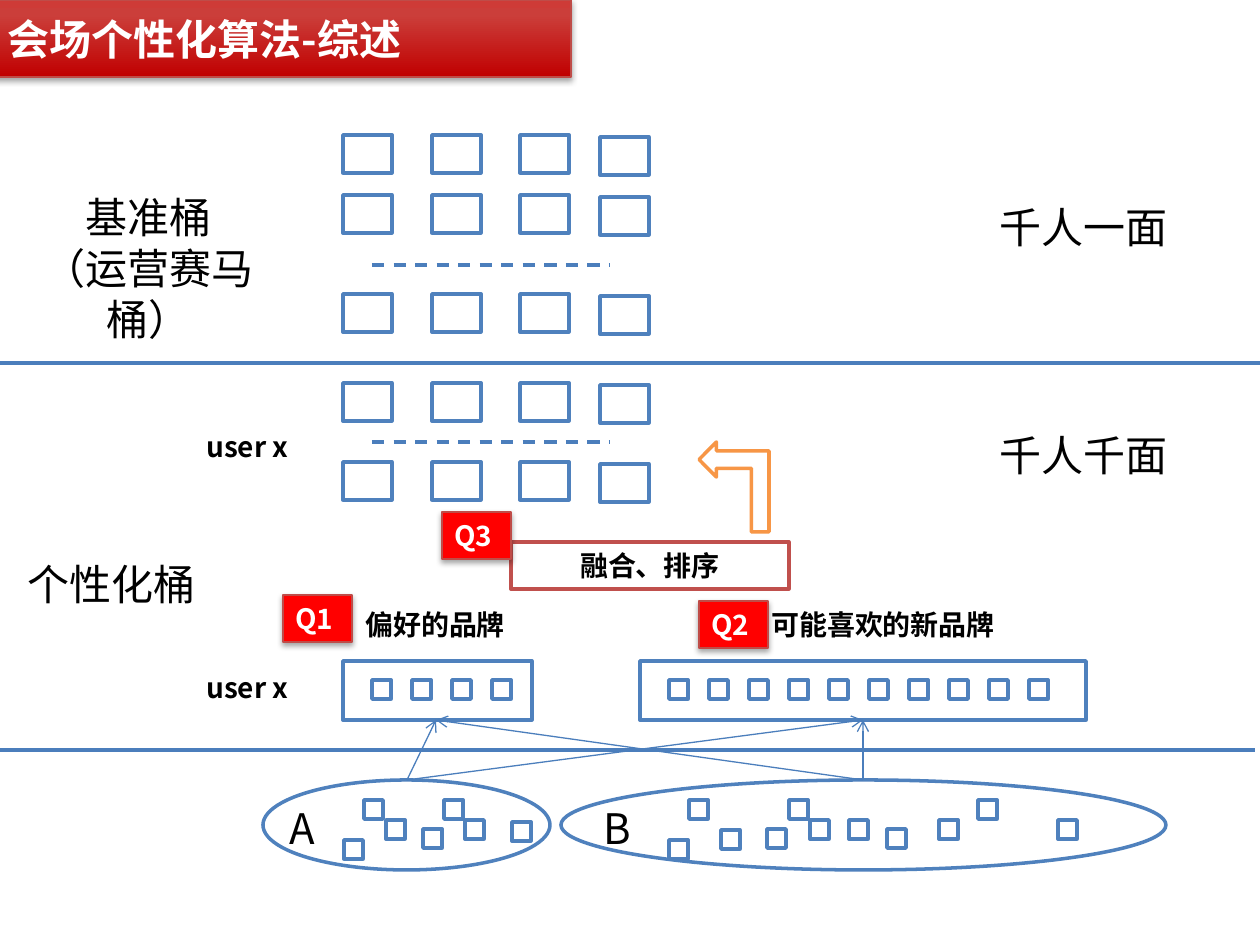
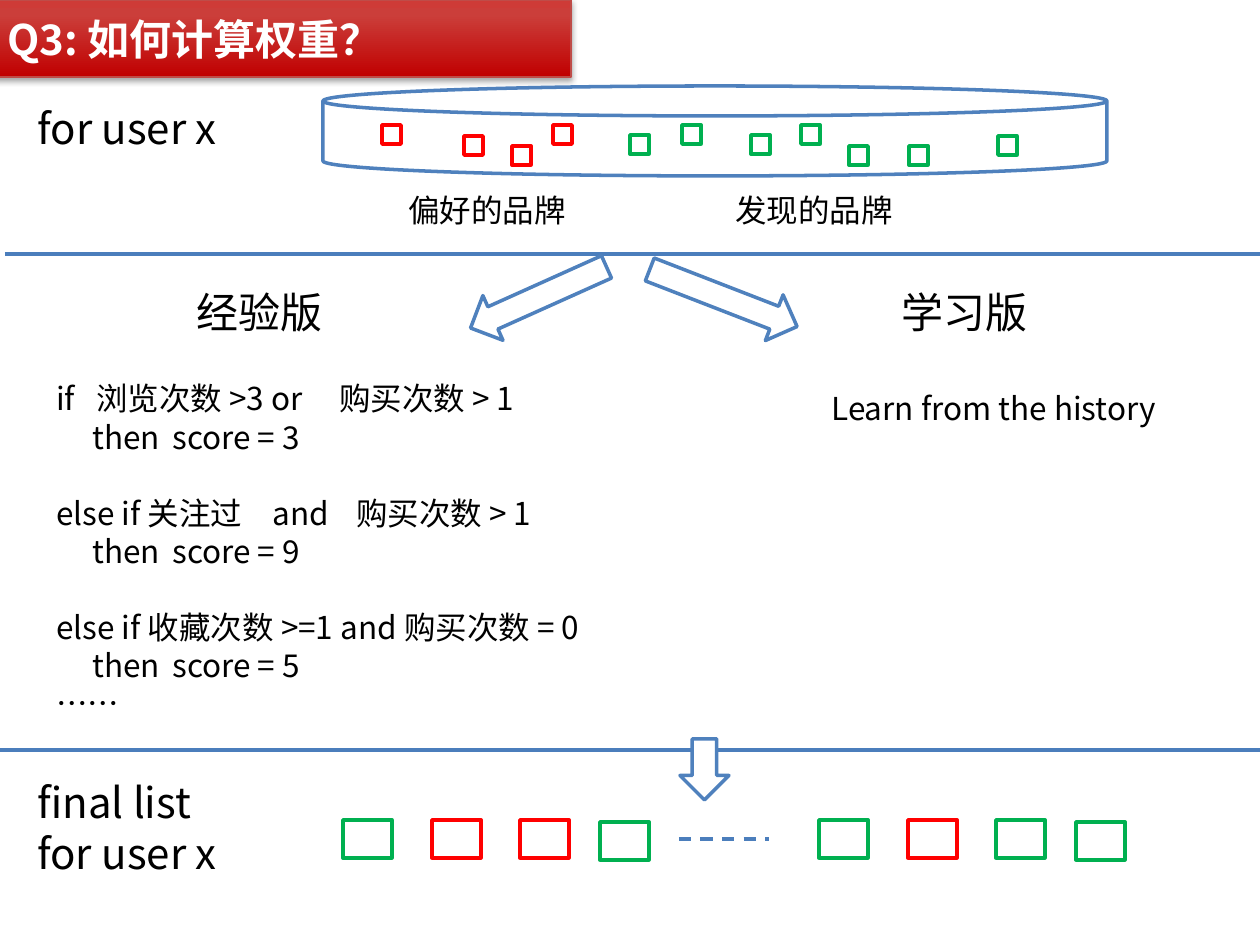
from lxml.etree import SubElement
from pptx import Presentation
from pptx.dml.color import RGBColor
from pptx.enum.dml import MSO_LINE
from pptx.enum.shapes import MSO_CONNECTOR, MSO_SHAPE
from pptx.enum.text import MSO_ANCHOR, MSO_AUTO_SIZE, PP_ALIGN
from pptx.oxml.ns import qn
from pptx.util import Emu, Pt

PX = 914400 / 126
FONT = "Noto Sans CJK SC"
LINE_HEIGHT = 1.21

BLACK = RGBColor(0x00, 0x00, 0x00)
WHITE = RGBColor(0xFF, 0xFF, 0xFF)
BLUE = RGBColor(0x4F, 0x81, 0xBD)
RULE_BLUE = RGBColor(0x4B, 0x7E, 0xBC)
RED = RGBColor(0xFF, 0x00, 0x00)
GREEN = RGBColor(0x00, 0xB0, 0x50)
ORANGE = RGBColor(0xF7, 0x96, 0x46)
BRICK = RGBColor(0xC0, 0x50, 0x4D)
TAG_EDGE = RGBColor(0xBF, 0x4C, 0x48)
BANNER_STOPS = (
    (0, RGBColor(0xC0, 0x00, 0x00)),
    (80000, RGBColor(0xCB, 0x3E, 0x3A)),
    (100000, RGBColor(0xCE, 0x3B, 0x37)),
)

TILE_COLUMNS = ((0, 0), (89, 0), (177, 0), (257, 2))
TILE_SIZE = (49, 38)
CHIP = 19


def px(length):
    return Emu(round(length * PX))


def set_all(target, values):
    for name, value in values.items():
        setattr(target, name, value)


# Text
def write(shape, lines, size, color=BLACK, bold=False, align=PP_ALIGN.LEFT,
          anchor=MSO_ANCHOR.TOP, wrap=True):
    frame = shape.text_frame
    set_all(frame, {"word_wrap": wrap, "vertical_anchor": anchor,
                    "auto_size": MSO_AUTO_SIZE.NONE})
    for index, line in enumerate(lines):
        paragraph = frame.add_paragraph() if index else frame.paragraphs[0]
        set_all(paragraph, {"alignment": align, "line_spacing": Pt(size * LINE_HEIGHT)})
        run = paragraph.add_run()
        run.text = line
        set_all(run.font, {"name": FONT, "size": Pt(size), "bold": bold})
        run.font.color.rgb = color
        SubElement(run._r.get_or_add_rPr(), qn("a:ea"), typeface=FONT)
    return frame.paragraphs


def add_text(slide, box, lines, size=24, **formats):
    return write(slide.shapes.add_textbox(*map(px, box)), lines, size, **formats)


def set_tabs(paragraph, stops):
    tab_list = SubElement(paragraph._p.get_or_add_pPr(), qn("a:tabLst"))
    for stop in stops:
        SubElement(tab_list, qn("a:tab"), pos=str(px(stop)), algn="l")


# Shapes and lines
def add_outline(slide, kind, box, color=BLUE, fill=WHITE, width=2, rotation=0):
    shape = slide.shapes.add_shape(kind, *map(px, box))
    shape.rotation = rotation
    shape.shadow.inherit = False
    shape.fill.solid()
    shape.fill.fore_color.rgb = fill
    shape.line.color.rgb = color
    shape.line.width = Pt(width)
    return shape


def add_soft_shadow(shape):
    shape.shadow.inherit = False
    effects = shape._element.spPr.find(qn("a:effectLst"))
    shadow = SubElement(effects, qn("a:outerShdw"), blurRad="40000", dist="23000",
                        dir="5400000", rotWithShape="0")
    color = SubElement(shadow, qn("a:srgbClr"), val=str(BLACK))
    SubElement(color, qn("a:alpha"), val="35000")


def add_line(slide, start, end, width=1.75, dashed=False, arrow=False):
    line = slide.shapes.add_connector(MSO_CONNECTOR.STRAIGHT, *map(px, start + end))
    line.line.color.rgb = RULE_BLUE
    line.line.width = Pt(width)
    if dashed:
        line.line.dash_style = MSO_LINE.DASH
    if arrow:
        SubElement(line.line._get_or_add_ln(), qn("a:tailEnd"), type="arrow")
    SubElement(line._element.spPr, qn("a:effectLst"))


def add_tiles(slide, left, top, colors=(BLUE,) * 4):
    for (x, y), color in zip(TILE_COLUMNS, colors):
        add_outline(slide, MSO_SHAPE.RECTANGLE, (left + x, top + y, *TILE_SIZE), color)


def add_chips(slide, left, top, offsets, color=BLUE):
    for x, y in offsets:
        add_outline(slide, MSO_SHAPE.RECTANGLE, (left + x, top + y, CHIP, CHIP), color)


def add_tag(slide, left, top, label):
    tag = add_outline(slide, MSO_SHAPE.RECTANGLE, (left, top, 69, 47), TAG_EDGE, RED, 0.75)
    add_soft_shadow(tag)
    write(tag, [label], 16, WHITE, bold=True)


# Title banner shared by both slides
def add_titled_slide(presentation, text):
    slide = presentation.slides.add_slide(presentation.slide_layouts[5])
    title = slide.shapes.title
    set_all(title, dict(zip(("left", "top", "width", "height"),
                            map(px, (-5, 0, 576, 77)))))
    properties = title._element.spPr
    geometry = SubElement(properties, qn("a:prstGeom"), prst="homePlate")
    SubElement(geometry, qn("a:avLst"))
    gradient = SubElement(properties, qn("a:gradFill"), rotWithShape="1")
    stops = SubElement(gradient, qn("a:gsLst"))
    for position, color in BANNER_STOPS:
        stop = SubElement(stops, qn("a:gs"), pos=str(position))
        SubElement(stop, qn("a:srgbClr"), val=str(color))
    SubElement(gradient, qn("a:lin"), ang="16200000", scaled="0")
    title.line.color.rgb = TAG_EDGE
    title.line.width = Pt(0.75)
    add_soft_shadow(title)
    write(title, [text], 24, WHITE, bold=True, anchor=MSO_ANCHOR.MIDDLE)
    return slide


# Overview slide regions
def add_bucket(slide, left, top, rows, dash_top):
    for row in rows:
        add_tiles(slide, left, top + row)
    add_line(slide, (left + 29, top + dash_top), (left + 267, top + dash_top), dashed=True)


def add_brand_pool(slide, box, label, label_left, offsets):
    left, top = box[:2]
    add_outline(slide, MSO_SHAPE.OVAL, box)
    add_chips(slide, left, top, offsets)
    add_text(slide, (left + label_left, top + 16, 54, 63), [label])


def add_candidate_strip(slide, box, count):
    left, top = box[:2]
    add_outline(slide, MSO_SHAPE.RECTANGLE, box)
    add_chips(slide, left, top, [(29 + 40 * index, 19) for index in range(count)])


def build_overview(presentation):
    slide = add_titled_slide(presentation, "会场个性化算法-综述")
    add_line(slide, (0, 363), (1260, 363))
    add_line(slide, (-5, 750), (1255, 750))

    # Tile grids of the two buckets
    add_bucket(slide, 343, 135, (0, 60, 159), 130)
    add_bucket(slide, 343, 383, (0, 79), 59)
    add_text(slide, (-5, 185, 307, 115), ["基准桶", "（运营赛马桶）"], align=PP_ALIGN.CENTER)
    for left, top, width, text in ((15, 552, 198, "个性化桶"),
                                   (987, 195, 208, "千人一面"),
                                   (987, 423, 208, "千人千面")):
        add_text(slide, (left, top, width, 63), [text])

    # Brand pools and candidate strips
    add_brand_pool(slide, (263, 780, 287, 90), "A", 14, (
        (249, 42), (81, 60), (101, 20), (123, 40), (160, 49), (181, 20), (202, 40)))
    add_brand_pool(slide, (561, 780, 605, 90), "B", 30, (
        (160, 50), (108, 60), (128, 20), (378, 40), (206, 49), (228, 20),
        (249, 40), (288, 40), (326, 49), (417, 20), (497, 40)))
    add_candidate_strip(slide, (343, 661, 189, 59), 4)
    add_candidate_strip(slide, (640, 661, 446, 59), 10)
    for strip_center in (436, 863):
        for pool_center in (407, 863):
            add_line(slide, (pool_center, 780), (strip_center, 720), 0.75, arrow=True)

    # Merge step and its arrow
    merge = add_outline(slide, MSO_SHAPE.RECTANGLE, (511, 542, 278, 47), BRICK)
    write(merge, ["融合、排序"], 16, bold=True, align=PP_ALIGN.CENTER)
    add_outline(slide, MSO_SHAPE.BENT_UP_ARROW, (689, 452, 90, 70), ORANGE, rotation=270)

    # Bold labels and question tags
    for left, top, width, text in ((353, 601, 179, "偏好的品牌"),
                                   (759, 601, 297, "可能喜欢的新品牌"),
                                   (194, 664, 118, "user x"),
                                   (194, 423, 118, "user x")):
        add_text(slide, (left, top, width, 47), [text], 16, bold=True)
    for left, top, label in ((283, 595, "Q1"), (699, 601, "Q2"), (442, 512, "Q3")):
        add_tag(slide, left, top, label)


# Weighting slide regions
def add_brand_disk(slide, left, top):
    add_outline(slide, MSO_SHAPE.FLOWCHART_MAGNETIC_DISK, (left, top, 784, 90))
    add_chips(slide, left, top, ((59, 39), (141, 50), (189, 60), (230, 39)), RED)
    add_chips(slide, left, top, ((307, 49), (359, 39), (428, 49), (478, 39),
                                 (526, 60), (586, 60), (675, 50)), GREEN)
    for x, text in ((73, "偏好的品牌"), (400, "发现的品牌")):
        add_text(slide, (left + x, top + 99, 184, 50), [text], 18, wrap=False)


def add_score_rules(slide, box):
    rules = (
        ("if\t浏览次数 >3 or\t购买次数 > 1", (40, 283), 3),
        ("else if 关注过\tand\t购买次数 > 1", (216, 300), 9),
        ("else if 收藏次数 >=1 and 购买次数 = 0", (), 5),
    )
    lines, tabs = [], []
    for condition, stops, score in rules:
        lines += [condition, f"\tthen\tscore = {score}"]
        tabs += [stops, (36, 116)]
    paragraphs = add_text(slide, box, lines + ["……"], 18, wrap=False)
    for paragraph in paragraphs[2:6:2]:
        paragraph.space_before = Pt(18 * LINE_HEIGHT)
    for paragraph, stops in zip(paragraphs, tabs):
        if stops:
            set_tabs(paragraph, stops)


def add_final_list(slide, left, top):
    add_tiles(slide, left, top, (GREEN, RED, RED, GREEN))
    add_line(slide, (left + 336, top + 19), (left + 426, top + 19), dashed=True)
    add_tiles(slide, left + 476, top, (GREEN, RED, GREEN, GREEN))


def build_weighting(presentation):
    slide = add_titled_slide(presentation, "Q3: 如何计算权重？")
    add_text(slide, (25, 96, 297, 63), ["for user x"])
    add_brand_disk(slide, 323, 86)
    add_line(slide, (0, 750), (1260, 750))
    add_line(slide, (5, 254), (1265, 254))

    # Arrows between the bands
    for box, rotation in (((514, 223, 49, 149), 65.8),
                          ((699, 219, 49, 158), 291.2),
                          ((680, 739, 49, 61), 0)):
        add_outline(slide, MSO_SHAPE.DOWN_ARROW, box, rotation=rotation)

    # Rule-based and learned versions
    for left, text in ((184, "经验版"), (889, "学习版")):
        add_text(slide, (left, 280, 159, 63), [text])
    add_score_rules(slide, (44, 373, 591, 357))
    add_text(slide, (819, 383, 365, 50), ["Learn from the history"], 18, wrap=False)

    # Final list
    add_text(slide, (25, 770, 318, 115), ["final list", "for user x"])
    add_final_list(slide, 343, 820)


def main():
    presentation = Presentation()
    set_all(presentation, {"slide_width": px(1260), "slide_height": px(945)})
    build_overview(presentation)
    build_weighting(presentation)
    presentation.save("out.pptx")


if __name__ == "__main__":
    main()
